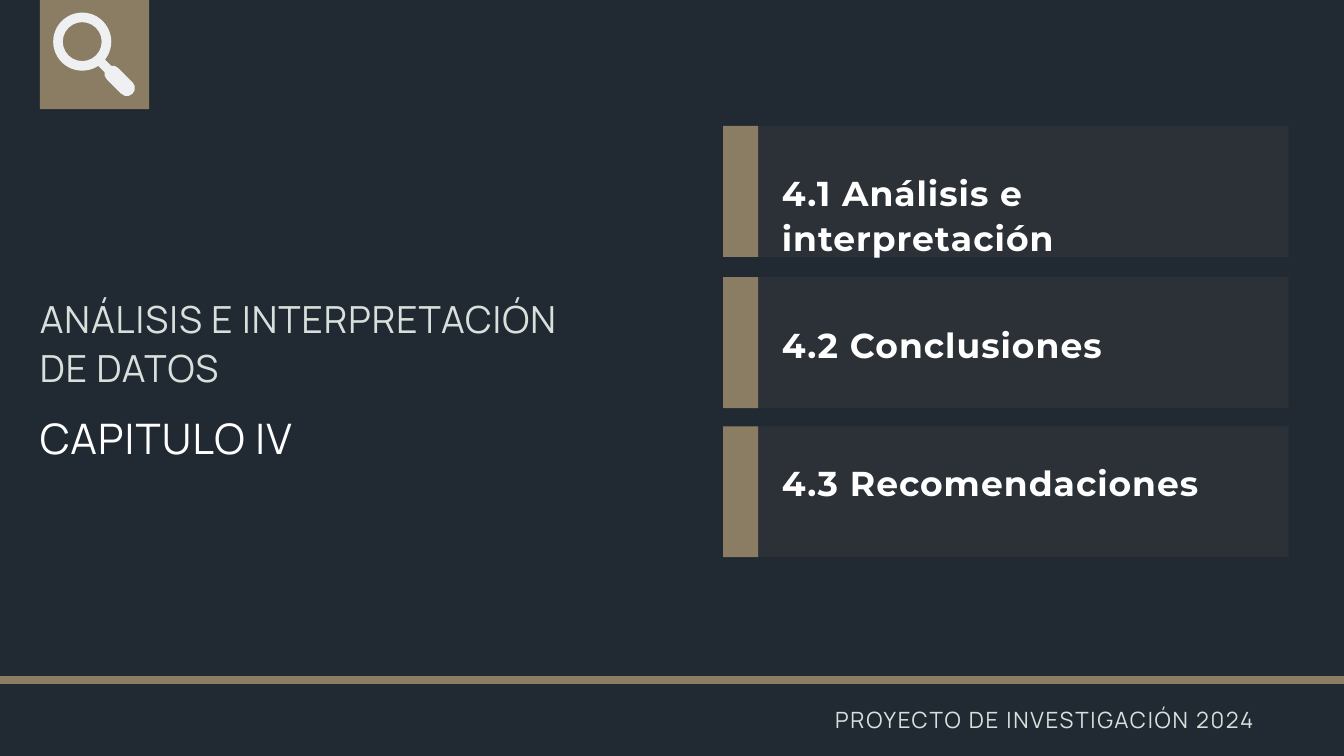
from lxml import etree
from pptx import Presentation
from pptx.dml.color import RGBColor
from pptx.enum.shapes import MSO_SHAPE
from pptx.enum.text import MSO_ANCHOR, MSO_AUTO_SIZE, PP_ALIGN
from pptx.oxml.ns import qn
from pptx.util import Emu, Pt

RECT, DONUT = MSO_SHAPE.RECTANGLE, MSO_SHAPE.DONUT
ROUNDED = MSO_SHAPE.ROUNDED_RECTANGLE
LEFT, RIGHT = PP_ALIGN.LEFT, PP_ALIGN.RIGHT
TOP, NO_FIT = MSO_ANCHOR.TOP, MSO_AUTO_SIZE.NONE

EMU_PER_PX = 9525
NAVY, GOLD, MIST, WHITE, ICON = "212932", "8A7D63", "D9DFDB", "FFFFFF", "EFF0F2"
LIGHT_FONT, CARD_FONT = "Manrope", "Montserrat"

# Card top, text top and wording
CARDS = [
    (180, 240, "4.1 Análisis e interpretación"),
    (396, 457, "4.2 Conclusiones"),
    (609, 654, "4.3 Recomendaciones"),
]


def px(n):
    return Emu(n * EMU_PER_PX)


def set_color(color_format, value):
    color_format.rgb = RGBColor.from_string(value)


def add_block(slide, kind, x, y, w, h, color, alpha=None):
    s = slide.shapes.add_shape(kind, px(x), px(y), px(w), px(h))
    s.shadow.inherit = False
    s.line.fill.background()
    s.fill.solid()
    set_color(s.fill.fore_color, color)
    if alpha is not None:
        clr = s.fill._xPr.find(qn("a:solidFill"))[0]
        etree.SubElement(clr, qn("a:alpha")).set("val", str(alpha * 1000))
    return s


def write_text(s, box, text, size, leading, spacing, color,
               font=LIGHT_FONT, bold=False, align=LEFT):
    s.left, s.top, s.width, s.height = (px(n) for n in box)
    tf = s.text_frame
    tf.margin_left = tf.margin_top = tf.margin_right = tf.margin_bottom = 0
    tf.word_wrap = True
    tf.auto_size = NO_FIT
    tf.vertical_anchor = TOP
    tf.text = text
    for p in tf.paragraphs:
        p.alignment = align
        p.line_spacing = Pt(leading)
        p.space_before = Pt(0)
        for r in p.runs:
            r.font.name = font
            r.font.size = Pt(size)
            r.font.bold = bold
            set_color(r.font.color, color)
            r.font._element.set("spc", str(round(spacing * 100)))


def add_text(slide, box, *args, **kwargs):
    s = slide.shapes.add_textbox(*(px(n) for n in box))
    write_text(s, box, *args, **kwargs)


def add_card(slide, top, text_top, text):
    add_block(slide, RECT, 1033, top, 808, 187, GOLD, alpha=10)
    add_block(slide, RECT, 1033, top, 50, 187, GOLD)
    add_text(slide, (1117, text_top, 694, 62), text, 37, 48.5, 1.1, WHITE,
             font=CARD_FONT, bold=True)


def add_magnifier(slide):
    lens = add_block(slide, DONUT, 76, 18, 83, 83, ICON)
    lens.adjustments[0] = 0.165
    neck = add_block(slide, RECT, 136, 86, 24, 13, ICON)
    grip = add_block(slide, ROUNDED, 145, 104, 52, 23, ICON)
    grip.adjustments[0] = 0.5
    neck.rotation = grip.rotation = 45


def main():
    prs = Presentation()
    prs.slide_width, prs.slide_height = px(1920), px(1080)
    slide = prs.slides.add_slide(prs.slide_layouts[0])
    slide.background.fill.solid()
    set_color(slide.background.fill.fore_color, NAVY)

    # Chapter heading
    title, subtitle = slide.placeholders
    write_text(title, (57, 417, 940, 137), "ANÁLISIS E INTERPRETACIÓN\nDE DATOS",
               40, 52.4, 1.1, MIST)
    write_text(subtitle, (57, 582, 694, 71), "CAPITULO IV", 45, 59, 1.3, WHITE)

    # Corner badge
    add_block(slide, RECT, 57, 0, 156, 156, GOLD)
    add_magnifier(slide)

    # Section cards
    for card in CARDS:
        add_card(slide, *card)

    # Footer
    add_block(slide, RECT, 0, 966, 1920, 11, GOLD)
    add_text(slide, (130, 1003, 1661, 41), "PROYECTO DE INVESTIGACIÓN 2024",
             24, 33.6, 1.9, MIST, align=RIGHT)

    prs.save("out.pptx")


if __name__ == "__main__":
    main()
